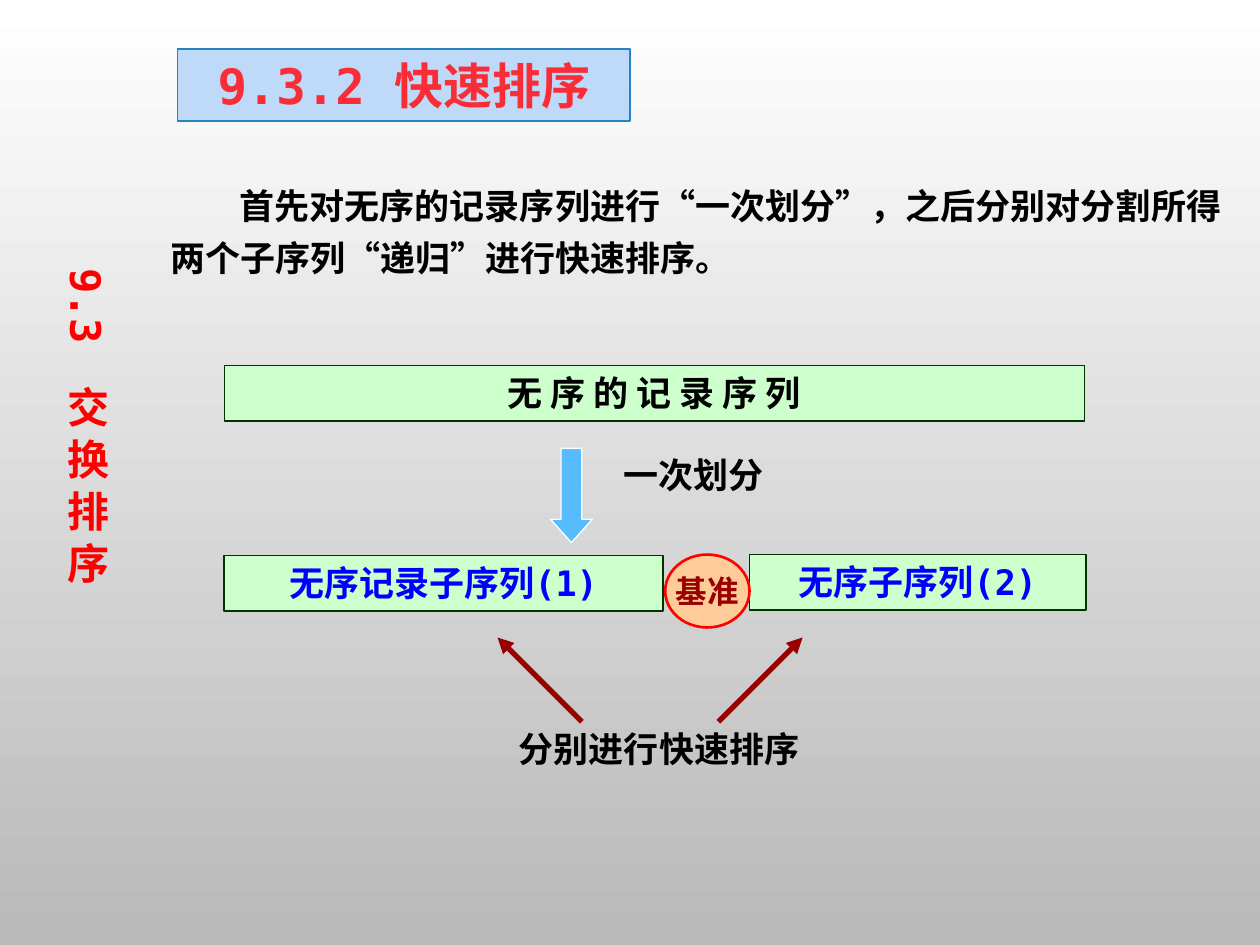
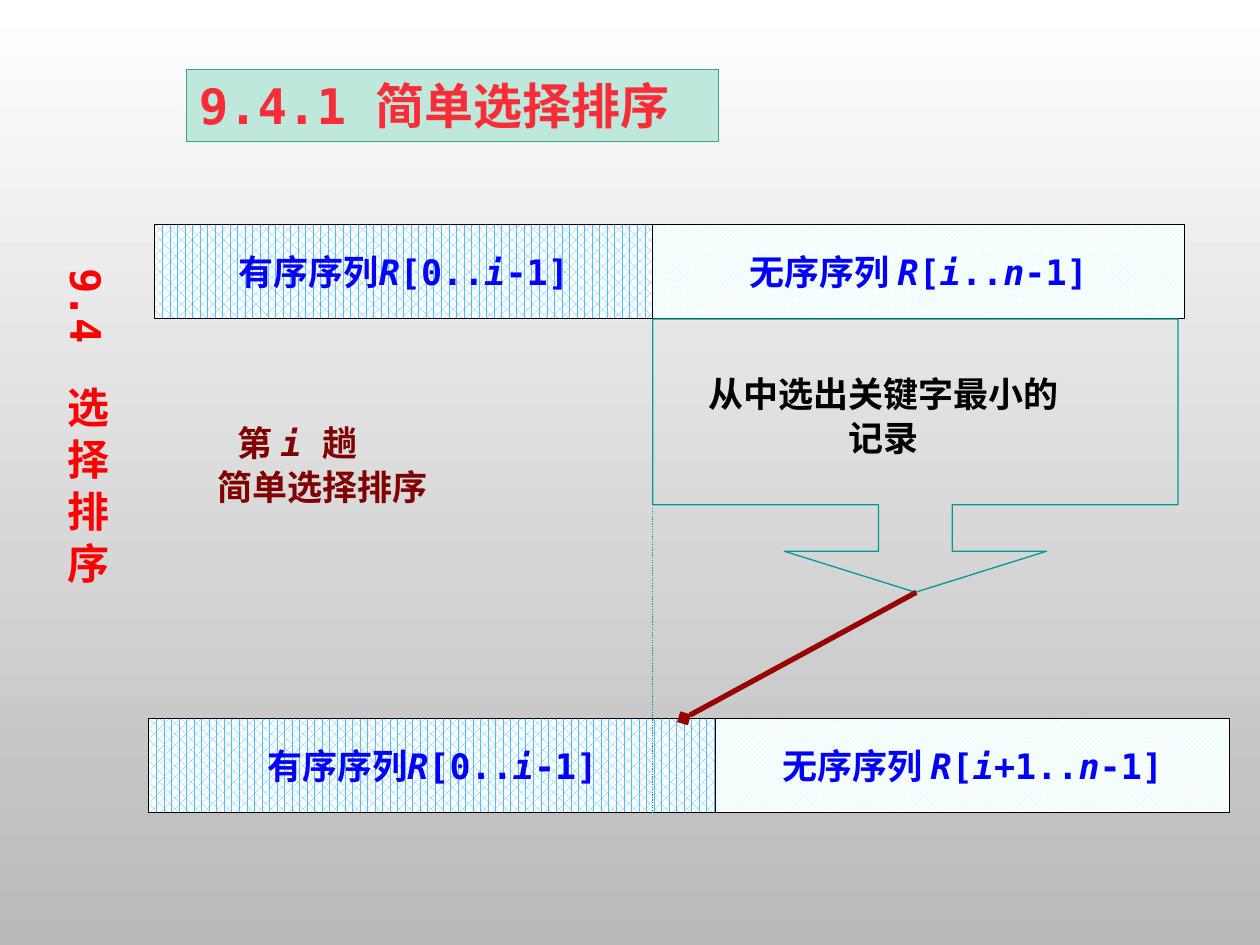
from lxml.etree import SubElement as Sub
from pptx import Presentation
from pptx.dml.color import RGBColor as RGB
from pptx.enum.dml import MSO_LINE as Dash, MSO_PATTERN as Pat
from pptx.enum.shapes import MSO_CONNECTOR as Conn, MSO_SHAPE as Geo
from pptx.enum.text import MSO_ANCHOR as Anchor, PP_ALIGN as Align
from pptx.oxml.ns import qn
from pptx.util import Cm, Pt

BLACK, WHITE = RGB(0, 0, 0), RGB(255, 255, 255)
GREY = RGB(0xB9, 0xB9, 0xB9)
RED, ROSE = RGB(255, 0, 0), RGB(0xF9, 0x2D, 0x37)
WINE, MAROON = RGB(0x99, 0, 0), RGB(0x80, 0, 0)
BLUE, SKY = RGB(0, 0, 255), RGB(0x56, 0xBC, 0xFE)
MINT, FOREST = RGB(0xCC, 0xFF, 0xCC), RGB(0, 0x33, 0)
PEACH, TEAL = RGB(0xFF, 0xCC, 0x99), RGB(0, 0x99, 0x99)
ICE = RGB(0xCC, 0xFF, 0xFF)
MONO, SERIF, HAN = "DejaVu Sans Mono", "Times New Roman", "Noto Sans CJK SC"

QUICK = dict(
    side="9.3　交 换 排 序", title="9.3.2 快速排序",
    box=(3.58, 0.99, 9.12, 1.45), align=Align.CENTER,
    fill=RGB(0xBF, 0xDA, 0xF9), edge=RGB(0x26, 0x83, 0xBF))
SELECT = dict(
    side="9.4　选 择 排 序", title="9.4.1 简单选择排序",
    box=(3.76, 1.4, 10.72, 1.45), align=Align.LEFT,
    fill=RGB(0xBD, 0xE8, 0xDB), edge=RGB(0x3C, 0xA2, 0x8B))

INTRO = "首先对无序的记录序列进行“一次划分”，之后分别对分割所得两个子序列“递归”进行快速排序。"
BARS = [
    ("无 序 的 记 录 序 列", (4.52, 7.37, 17.35, 1.12), BLACK, 0.75),
    ("无序记录子序列(1)", (4.52, 11.2, 8.84, 1.12), BLUE, 1),
    ("无序子序列(2)", (15.11, 11.18, 6.78, 1.12), BLUE, 1),
]
LABELS = [
    ("一次划分", (12.32, 9.02, 3.38, 1.12)),
    ("分别进行快速排序", (10.21, 14.55, 6.25, 1.12)),
]
ARROWS = [(11.73, 14.55, 10.03, 12.85), (14.48, 14.55, 16.18, 12.85)]
ROWS = [
    (4.52, (3.12, 13.16, 23.88), ("有序序列*R*[0..*i*-1]", "无序序列 *R*[*i*..*n*-1]")),
    (14.48, (3, 14.43, 24.79), ("有序序列*R*[0..*i*-1]", "无序序列 *R*[*i*+1..*n*-1]")),
]
HATCH = [(Pat.PERCENT_60, SKY), (Pat.TRELLIS, ICE)]


def write(item, lines, color, size=20, font=MONO, align=Align.CENTER,
          gap=None, wrap=True, mid=False, dents=(0,)):
    frame = item.text_frame
    frame.word_wrap = wrap
    frame.vertical_anchor = Anchor.MIDDLE if mid else Anchor.TOP
    for n, line in enumerate(lines):
        para = frame.add_paragraph() if n else frame.paragraphs[0]
        para.alignment = align
        if gap:
            para.line_spacing = gap
        if n < len(dents) and dents[n]:
            para._p.get_or_add_pPr().set("indent", str(Cm(dents[n])))
        for k, part in enumerate(line.split("*")):
            if not part:
                continue
            run = para.add_run()
            run.text = part
            face = run.font
            face.name, face.size, face.bold = font, Pt(size), True
            face.italic = k % 2 == 1
            face.color.rgb = color
            Sub(run._r.get_or_add_rPr(), qn("a:ea"), typeface=HAN)


def shape(slide, geo, box, edge, width=0.75, fill=None, hatch=None):
    item = slide.shapes.add_shape(geo, *map(Cm, box))
    item.shadow.inherit = False
    if hatch:
        item.fill.patterned()
        item.fill.pattern, item.fill.fore_color.rgb = hatch
        item.fill.back_color.rgb = WHITE
    elif fill:
        item.fill.solid()
        item.fill.fore_color.rgb = fill
    else:
        item.fill.background()
    item.line.color.rgb = edge
    item.line.width = Pt(width)
    return item


def label(slide, box, lines, color=BLACK, **look):
    item = slide.shapes.add_textbox(*map(Cm, box))
    write(item, lines, color, **look)
    return item


def link(slide, ends, color, width, tip=None, dash=None):
    item = slide.shapes.add_connector(Conn.STRAIGHT, *map(Cm, ends))
    item.line.color.rgb = color
    item.line.width = Pt(width)
    if dash:
        item.line.dash_style = dash
    if tip:
        Sub(item.line._get_or_add_ln(), qn("a:tailEnd"), type=tip)
    Sub(item._element.spPr, qn("a:effectLst"))


def start(deck):
    slide = deck.slides.add_slide(deck.slide_layouts[6])
    fill = slide.background.fill
    fill.gradient()
    fill.gradient_angle = 270
    for stop, color, place in zip(fill.gradient_stops, (WHITE, GREY), (0, 1)):
        stop.color.rgb, stop.position = color, place
    return slide


def head(slide, data):
    item = shape(slide, Geo.RECTANGLE, data["box"], data["edge"], fill=data["fill"])
    write(item, [data["title"]], ROSE, size=28, align=data["align"])
    side = label(slide, (0.84, 5.16, 1.55, 8.13), [data["side"]], RED, size=24)
    side.text_frame._txBody.bodyPr.set("vert", "eaVert")


def quick(deck):
    slide = start(deck)
    label(slide, (3.18, 3.38, 21.82, 2.29), [INTRO], font=SERIF,
          align=Align.LEFT, gap=1.25, dents=(1.4,))
    for text, box, color, width in BARS:
        bar = shape(slide, Geo.RECTANGLE, box, FOREST, width, MINT)
        write(bar, [text], color)
    pivot = shape(slide, Geo.OVAL, (13.41, 11.18, 1.7, 1.47), RED, 1.5, PEACH)
    write(pivot, ["基准"], WINE, size=18, font=SERIF, wrap=False, mid=True)
    down = shape(slide, Geo.DOWN_ARROW, (11.1, 9.04, 0.84, 1.9), WHITE, fill=SKY)
    down.adjustments[0], down.adjustments[1] = 0.5, 0.56
    for text, box in LABELS:
        label(slide, box, [text], font=HAN, align=Align.LEFT, wrap=False)
    for ends in ARROWS:
        link(slide, ends, WINE, 3, "triangle")
    head(slide, QUICK)


def select(deck):
    slide = start(deck)
    for top, cuts, texts in ROWS:
        for left, right, text, hatch in zip(cuts, cuts[1:], texts, HATCH):
            cell = shape(slide, Geo.RECTANGLE, (left, top, right - left, 1.9),
                         BLACK, hatch=hatch)
            write(cell, [text], BLUE, wrap=False, mid=True)
    label(slide, (4.14, 8.33, 8.61, 1.98), ["第 *i *趟", "简单选择排序"],
          MAROON, align=Align.LEFT, gap=1.05, dents=(0.4,))
    label(slide, (14, 7.34, 7.62, 1.98), ["从中选出关键字最小的记录"], gap=1.05)
    call = shape(slide, Geo.DOWN_ARROW_CALLOUT, (13.16, 6.43, 10.59, 5.51), TEAL)
    for n, value in enumerate((0.27, 0.48, 0.15, 0.68)):
        call.adjustments[n] = value
    link(slide, (18.47, 11.94, 13.79, 14.48), WINE, 3, "diamond")
    link(slide, (13.16, 10.24, 13.16, 16.38), TEAL, 0.75, dash=Dash.ROUND_DOT)
    head(slide, SELECT)


def main():
    deck = Presentation()
    deck.slide_width, deck.slide_height = Cm(25.4), Cm(19.05)
    quick(deck)
    select(deck)
    deck.save("out.pptx")


if __name__ == "__main__":
    main()
